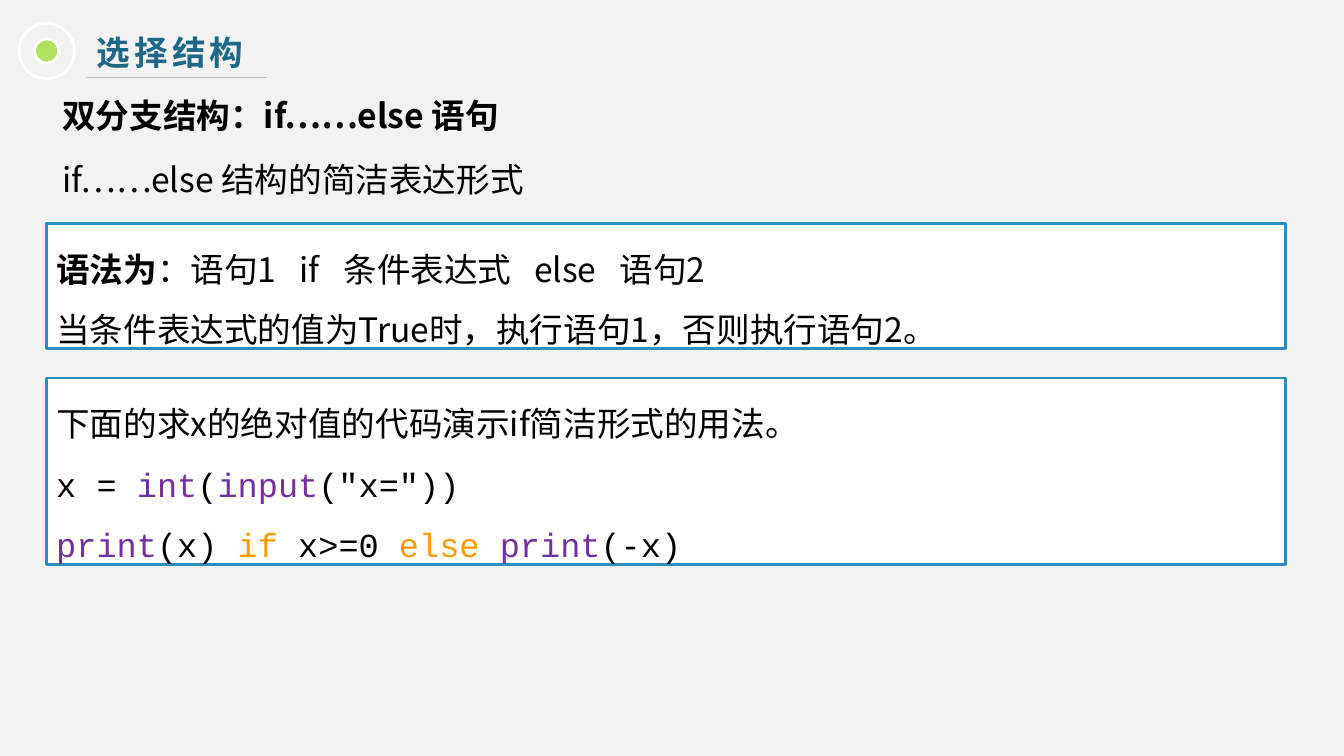
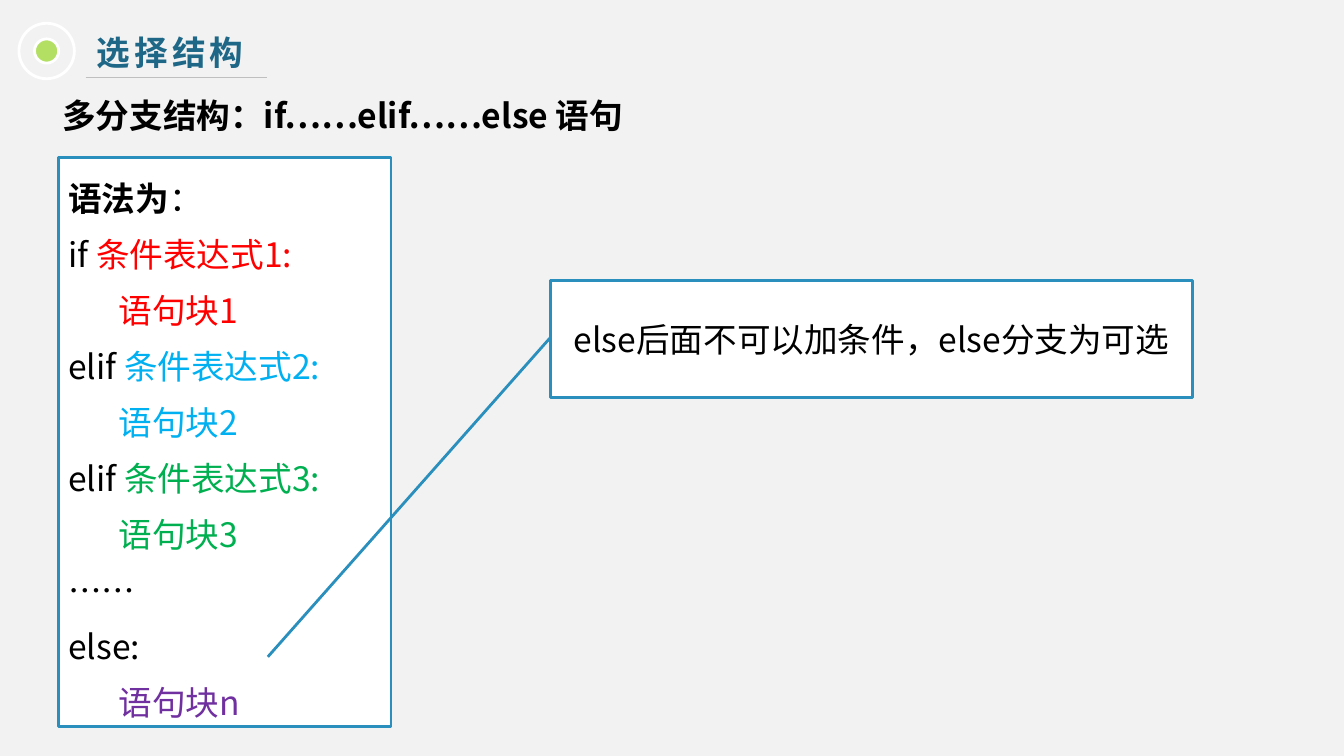
from lxml import etree
from pptx import Presentation
from pptx import util as u
from pptx.dml.color import RGBColor
from pptx.enum import shapes, text
from pptx.oxml import ns

WIDTH, HEIGHT = u.Inches(13.333), u.Inches(7.5)
FONT, CODE_FONT = "Noto Sans CJK SC", "Courier New"
BACKGROUND, WHITE, BLACK, RULE = "F2F2F2", "FFFFFF", "000000", "BFBFBF"
TITLE, BORDER, DOT = "1E6787", "2A8FBD", "B3DF63"
RED, SKY, GREEN, PURPLE, ORANGE = "FF0000", "00B0F0", "00B050", "7030A0", "FF9900"
BODY_LEFT, BODY_TOP, BODY_WIDTH = 3.9, 10.93, 92.18
PANEL_LEFT = 3.45


def rgb(value):
    return RGBColor.from_string(value)


def across(share):
    """Turn a percentage of the slide's width into a length."""
    return round(WIDTH * share / 100)


def down(share):
    """Turn a percentage of the slide's height into a length."""
    return round(HEIGHT * share / 100)


def area(left, top, width, height):
    return across(left), down(top), across(width), down(height)


def add_run(paragraph, words, color=BLACK, bold=False, font=FONT, tracking=0):
    run = paragraph.add_run()
    run.text = words
    run.font.size = u.Pt(24)
    run.font.bold = bold
    run.font.color.rgb = rgb(color)
    run.font.name = font
    properties = run.font._element
    etree.SubElement(properties, ns.qn("a:ea")).set("typeface", FONT)
    if tracking:
        properties.set("spc", str(tracking * 100))


def add_tabs(paragraph, stops):
    tab_list = etree.SubElement(paragraph._p.get_or_add_pPr(), ns.qn("a:tabLst"))
    for stop in stops:
        tab = etree.SubElement(tab_list, ns.qn("a:tab"))
        tab.set("pos", str(u.Inches(stop)))
        tab.set("algn", "l")


def write(shape, lines, spacing=None, after=0, tabs=(), align=text.PP_ALIGN.LEFT):
    """Fill a shape with lines, each a list of argument tuples for add_run."""
    frame = shape.text_frame
    frame.word_wrap = True
    frame.vertical_anchor = text.MSO_ANCHOR.TOP
    frame.auto_size = text.MSO_AUTO_SIZE.SHAPE_TO_FIT_TEXT
    for index, runs in enumerate(lines):
        paragraph = frame.add_paragraph() if index else frame.paragraphs[0]
        if tabs and index == 0:
            add_tabs(paragraph, tabs)
        paragraph.alignment = align
        paragraph.space_after = u.Pt(after)
        if spacing:
            paragraph.line_spacing = spacing
        for run in runs:
            add_run(paragraph, *run)


def add_outlined(parent, kind, place, line, fill=None):
    shape = parent.add_shape(kind, *place)
    shape.shadow.inherit = False
    if fill:
        shape.fill.solid()
        shape.fill.fore_color.rgb = rgb(fill)
    else:
        shape.fill.background()
    shape.line.color.rgb = rgb(line)
    shape.line.width = u.Pt(2)
    return shape


def add_panel(slide, place, lines, spacing, tabs=()):
    panel = add_outlined(slide.shapes, shapes.MSO_SHAPE.RECTANGLE, place, BORDER, WHITE)
    write(panel, lines, spacing, tabs=tabs)


def add_callout(slide, place, lines, pointer):
    kind = shapes.MSO_SHAPE.LINE_CALLOUT_1
    callout = add_outlined(slide.shapes, kind, place, BORDER, WHITE)
    for index, value in enumerate(pointer):
        callout.adjustments[index] = value
    write(callout, lines, align=text.PP_ALIGN.CENTER)
    frame = callout.text_frame
    frame.auto_size = text.MSO_AUTO_SIZE.NONE
    frame.word_wrap = False
    frame.vertical_anchor = text.MSO_ANCHOR.MIDDLE


def add_badge(slide):
    """Draw the dot inside its ring, both on one centre."""
    group = slide.shapes.add_group_shape()
    center_x, center_y = across(3.47), down(6.75)
    for diameter, fill in ((0.24, DOT), (0.55, None)):
        size = u.Inches(diameter)
        place = center_x - size // 2, center_y - size // 2, size, size
        add_outlined(group.shapes, shapes.MSO_SHAPE.OVAL, place, WHITE, fill)


def add_rule(slide):
    start, end, level = across(6.38), across(19.88), down(10.27)
    rule = slide.shapes.add_connector(
        shapes.MSO_CONNECTOR.STRAIGHT, start, level, end, level)
    rule.line.color.rgb = rgb(RULE)
    rule.line.width = u.Pt(0.75)
    etree.SubElement(rule._element.spPr, ns.qn("a:effectLst"))


def add_topic_slide(presentation, lines, height):
    """Add a slide with the shared header and its opening lines."""
    slide = presentation.slides.add_slide(presentation.slide_layouts[6])
    slide.background.fill.solid()
    slide.background.fill.fore_color.rgb = rgb(BACKGROUND)
    title = slide.shapes.add_textbox(*area(6.45, 3.6, 51.3, 6.67))
    write(title, [[("选择结构", TITLE, True, FONT, 3)]])
    add_badge(slide)
    add_rule(slide)
    body = slide.shapes.add_textbox(*area(BODY_LEFT, BODY_TOP, BODY_WIDTH, height))
    write(body, lines, u.Pt(34), after=12)
    return slide


def code(words, color=BLACK):
    return words, color, False, CODE_FONT


def add_two_branch_slide(presentation):
    slide = add_topic_slide(presentation, [
        [("双分支结构：if……else 语句", BLACK, True)],
        [("if……else 结构的简洁表达形式",)],
    ], 15.73)
    add_panel(slide, area(PANEL_LEFT, 29.6, BODY_WIDTH, 16.53), [
        [("语法为", BLACK, True), ("：语句1\tif\t条件表达式\telse\t语句2",)],
        [("当条件表达式的值为True时，执行语句1，否则执行语句2。",)],
    ], 1.5, tabs=(2.41, 2.85, 4.74, 5.59))
    add_panel(slide, area(PANEL_LEFT, 50, BODY_WIDTH, 24.67), [
        [("下面的求x的绝对值的代码演示if简洁形式的用法。",)],
        [code("x = "), code("int", PURPLE), code("("), code("input", PURPLE),
         code('("x="))')],
        [code("print", PURPLE), code("(x) "), code("if", ORANGE), code(" x>=0 "),
         code("else ", ORANGE), code("print", PURPLE), code("(-x)")],
    ], 1.5)


def add_multi_branch_slide(presentation):
    slide = add_topic_slide(
        presentation, [[("多分支结构：if……elif……else 语句", BLACK, True)]], 7.2)
    syntax = [[("语法为", BLACK, True), ("：",)]]
    branches = (("if ", RED), ("elif ", SKY), ("elif ", GREEN))
    for number, (keyword, color) in enumerate(branches, 1):
        syntax.append([(keyword,), (f"条件表达式{number}:", color)])
        syntax.append([(f"\t语句块{number}", color)])
    syntax += [[("……",)], [("else:",)], [("\t语句块n", PURPLE)]]
    add_panel(slide, area(4.35, 20.8, 24.75, 75.33), syntax, u.Pt(40))
    add_callout(slide, area(40.95, 37.07, 47.78, 15.47),
                [[("else后面不可以加条件，else分支为可选",)]],
                pointer=(0.49, 0, 3.22, -0.44))


def main():
    presentation = Presentation()
    presentation.slide_width, presentation.slide_height = WIDTH, HEIGHT
    add_two_branch_slide(presentation)
    add_multi_branch_slide(presentation)
    presentation.save("out.pptx")


if __name__ == "__main__":
    main()
